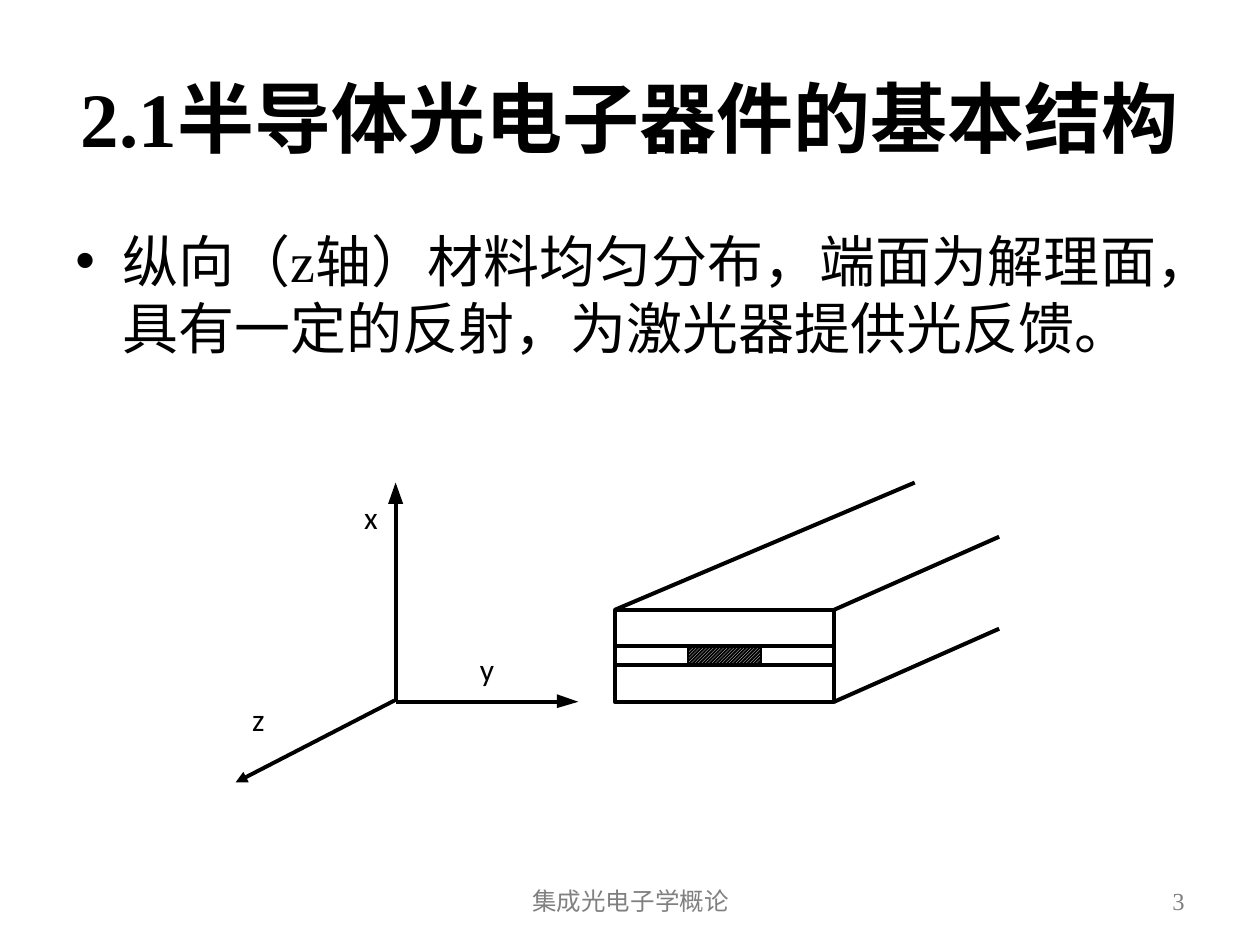
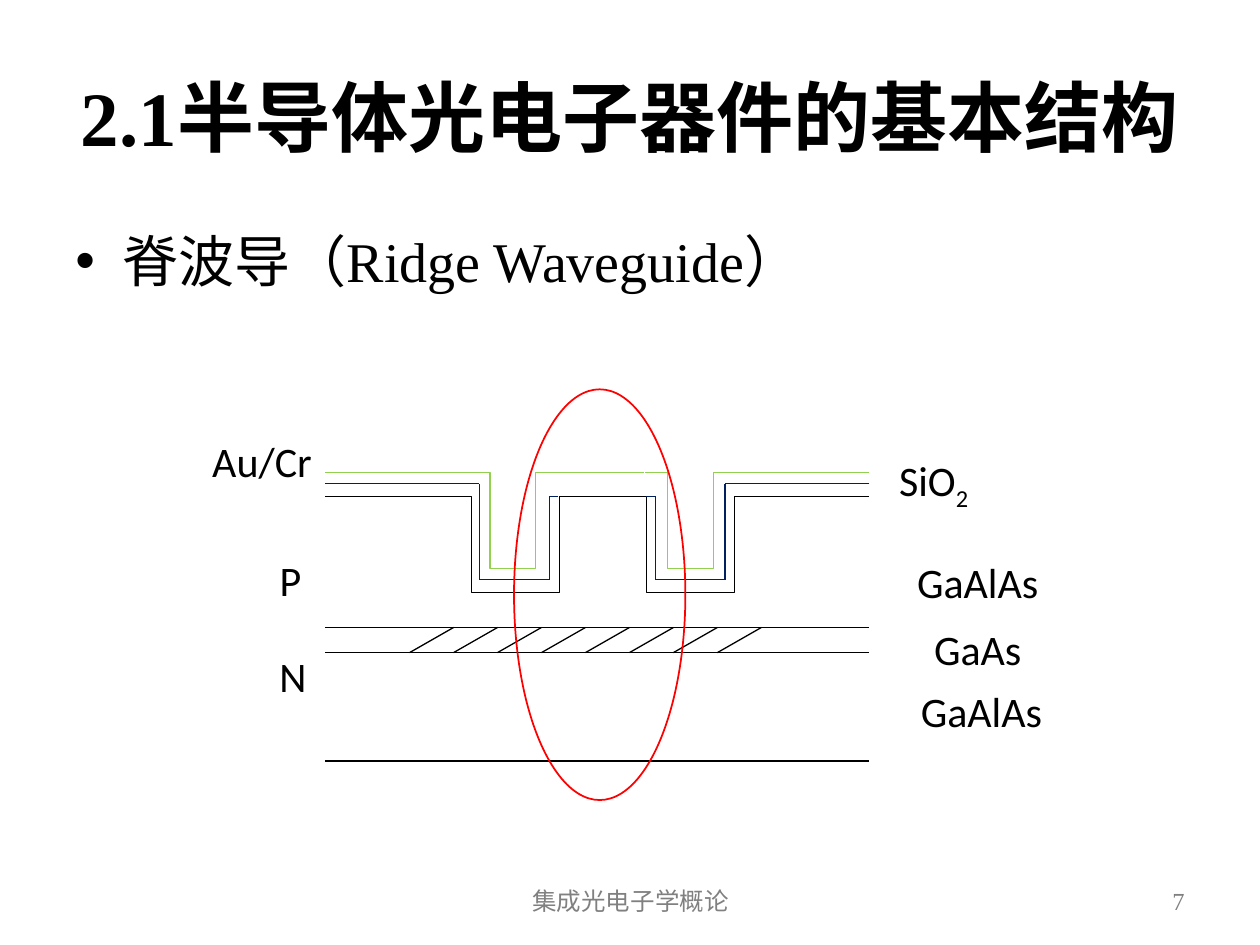
"""Build two slides on the basic structure of semiconductor optoelectronic devices."""
import lxml.etree
import pptx
import pptx.dml.color
import pptx.enum.dml
import pptx.enum.shapes
import pptx.enum.text
import pptx.oxml.ns
import pptx.util

BLACK = pptx.dml.color.RGBColor(0x00, 0x00, 0x00)
WHITE = pptx.dml.color.RGBColor(0xFF, 0xFF, 0xFF)
GRAY = pptx.dml.color.RGBColor(0x80, 0x80, 0x80)
RED = pptx.dml.color.RGBColor(0xFF, 0x00, 0x00)
NAVY = pptx.dml.color.RGBColor(0x00, 0x20, 0x60)
GREEN = pptx.dml.color.RGBColor(0x92, 0xD0, 0x50)

ALIGN = pptx.enum.text.PP_ALIGN
MIDDLE = pptx.enum.text.MSO_ANCHOR.MIDDLE
STRAIGHT = pptx.enum.shapes.MSO_CONNECTOR.STRAIGHT
ELBOW = pptx.enum.shapes.MSO_CONNECTOR.ELBOW
SHAPE = pptx.enum.shapes.MSO_SHAPE

presentation = pptx.Presentation()
presentation.slide_width = pptx.util.Inches(10)
presentation.slide_height = pptx.util.Inches(7.5)
COLUMN = presentation.slide_width // 100
ROW = presentation.slide_height // 75

NO_MARGINS = {"margin_left": 0, "margin_right": 0, "margin_top": 0, "margin_bottom": 0}
TITLE = {
    "frame": {"word_wrap": True, "vertical_anchor": MIDDLE},
    "paragraph": {"alignment": ALIGN.CENTER},
    "font": {"name": "Times New Roman", "size": pptx.util.Pt(44), "bold": True},
}
BODY = {
    "frame": {"word_wrap": True},
    "paragraph": {"alignment": ALIGN.LEFT, "space_before": pptx.util.Pt(6.4)},
    "font": {"name": "Times New Roman", "size": pptx.util.Pt(32)},
}
FOOTER = {
    "frame": {"word_wrap": True, "vertical_anchor": MIDDLE},
    "paragraph": {"alignment": ALIGN.CENTER},
    "font": {"name": "Calibri", "size": pptx.util.Pt(14)},
}
PAGE_NUMBER = {
    "frame": FOOTER["frame"],
    "paragraph": {"alignment": ALIGN.RIGHT},
    "font": {"name": "Times New Roman", "size": pptx.util.Pt(14)},
}
AXIS_LABEL = {
    "frame": {**NO_MARGINS, "word_wrap": False},
    "paragraph": {"alignment": ALIGN.JUSTIFY},
    "font": {"name": "Calibri", "size": pptx.util.Pt(18)},
}
LAYER_LABEL = {
    "frame": {**NO_MARGINS, "word_wrap": True},
    "paragraph": {"alignment": ALIGN.CENTER},
    "font": {"name": "Calibri", "size": pptx.util.Pt(24)},
}


def add_text(slide, box, text, style, color=BLACK):
    """Place a text box, given in columns and rows, and return its paragraph."""
    left, top, width, height = box
    shape = slide.shapes.add_textbox(
        round(left * COLUMN), round(top * ROW), round(width * COLUMN), round(height * ROW))
    paragraph = shape.text_frame.paragraphs[0]
    run = paragraph.add_run()
    run.text = text
    run.font.color.rgb = color
    for target, part in ((shape.text_frame, "frame"), (paragraph, "paragraph"), (run.font, "font")):
        for name, value in style[part].items():
            setattr(target, name, value)
    return paragraph


def add_line(slide, start, end, color=BLACK, width=0.75, kind=STRAIGHT):
    """Draw a connector between two grid points."""
    connector = slide.shapes.add_connector(
        kind, round(start[0] * COLUMN), round(start[1] * ROW),
        round(end[0] * COLUMN), round(end[1] * ROW))
    connector.line.color.rgb = color
    connector.line.width = pptx.util.Pt(width)
    lxml.etree.SubElement(connector._element.spPr, pptx.oxml.ns.qn("a:effectLst"))
    return connector


slides = []
for title_top, page, body in (
    (3, "3", "纵向（z轴）材料均匀分布，端面为解理面，具有一定的反射，为激光器提供光反馈。"),
    (2.9, "7", "脊波导（Ridge Waveguide）"),
):
    slide = presentation.slides.add_slide(presentation.slide_layouts[6])
    add_text(slide, (5, title_top, 90, 12.5), "2.1半导体光电子器件的基本结构", TITLE)
    paragraph = add_text(slide, (5, 17.5, 90, 49.5), body, BODY)
    properties = paragraph._p.get_or_add_pPr()
    properties.set("marL", str(round(3.75 * COLUMN)))
    properties.set("indent", str(round(-3.75 * COLUMN)))
    for tag, attribute, value in (("a:buFont", "typeface", "Arial"), ("a:buChar", "char", "•")):
        lxml.etree.SubElement(properties, pptx.oxml.ns.qn(tag)).set(attribute, value)
    add_text(slide, (34.2, 69.5, 31.7, 4), "集成光电子学概论", FOOTER, GRAY)
    add_text(slide, (71.7, 69.5, 23.3, 4), page, PAGE_NUMBER, GRAY)
    slides.append(slide)
axes_slide, ridge_slide = slides

ORIGIN = (31.4, 55.7)
add_line(axes_slide, (31.4, 39.9), ORIGIN, width=2.3)
add_line(axes_slide, ORIGIN, (44.3, 55.7), width=2.3)
z_axis = add_line(axes_slide, (31.3, 55.6), (18.7, 62.1), width=2.25)
z_outline = z_axis._element.spPr.find(pptx.oxml.ns.qn("a:ln"))
lxml.etree.SubElement(z_outline, pptx.oxml.ns.qn("a:tailEnd")).set("type", "triangle")

for corners in (
    ((30.8, 40), (31.4, 38.3), (32, 40)),
    ((44.2, 55.1), (45.9, 55.7), (44.2, 56.2)),
):
    points = [(round(x * COLUMN), round(y * ROW)) for x, y in corners]
    builder = axes_slide.shapes.build_freeform(*points[0])
    builder.add_line_segments(points[1:], close=True)
    arrowhead = builder.convert_to_shape()
    arrowhead.shadow.inherit = False
    arrowhead.fill.solid()
    arrowhead.fill.fore_color.rgb = BLACK
    arrowhead.line.fill.background()

LEFT, RIGHT, TOP, BOTTOM = 48.8, 66.2, 48.4, 55.7
CORE_LEFT, CORE_RIGHT, CORE_TOP, CORE_BOTTOM = 54.6, 60.4, 51.3, 52.8
facet, core = [
    axes_slide.shapes.add_shape(
        SHAPE.RECTANGLE, round(left * COLUMN), round(top * ROW),
        round((right - left) * COLUMN), round((bottom - top) * ROW))
    for left, top, right, bottom in (
        (LEFT, TOP, RIGHT, BOTTOM), (CORE_LEFT, CORE_TOP, CORE_RIGHT, CORE_BOTTOM))
]
for rectangle, width in ((facet, 2.3), (core, 1.6)):
    rectangle.shadow.inherit = False
    rectangle.line.color.rgb = BLACK
    rectangle.line.width = pptx.util.Pt(width)
facet.fill.solid()
facet.fill.fore_color.rgb = WHITE
core.fill.patterned()
core.fill.pattern = pptx.enum.dml.MSO_PATTERN.LIGHT_UPWARD_DIAGONAL
core.fill.fore_color.rgb = WHITE
core.fill.back_color.rgb = BLACK

for start, end in (
    ((LEFT, TOP), (72.6, 38.3)),
    ((RIGHT, TOP), (79.3, 42.6)),
    ((RIGHT, BOTTOM), (79.3, 49.9)),
    ((LEFT, CORE_TOP), (RIGHT, CORE_TOP)),
    ((LEFT, CORE_BOTTOM), (RIGHT, CORE_BOTTOM)),
):
    add_line(axes_slide, start, end, width=2.3)
for x in (CORE_LEFT, CORE_RIGHT):
    add_line(axes_slide, (x, CORE_TOP), (x, CORE_BOTTOM), width=1.6)
for name, left, top, width in (("x", 28.9, 39.5, 1.3), ("z", 20, 55.6, 1.1), ("y", 38.1, 51.6, 1.3)):
    add_text(axes_slide, (left, top, width, 3), name, AXIS_LABEL)

LAYER_LEFT, LAYER_RIGHT = 25.8, 69
ACTIVE_TOP, ACTIVE_BOTTOM = 49.8, 51.8
for y in (ACTIVE_TOP, ACTIVE_BOTTOM, 60.4):
    add_line(ridge_slide, (LAYER_LEFT, y), (LAYER_RIGHT, y))
for index in range(8):
    x = 32.5 + 3.49 * index
    add_line(ridge_slide, (x, ACTIVE_BOTTOM), (x + 3.5, ACTIVE_TOP))

for color, centers, reach, top in (
    (BLACK, (40.9, 54.8), 7, 39.4),
    (GREEN, (40.7, 54.8), 3.62, 37.5),
):
    for center in centers:
        for side in (-1, 1):
            add_line(ridge_slide, (center + side * reach, top), (center, top + 7.6), color, kind=ELBOW)
    add_line(ridge_slide, (LAYER_LEFT, top), (centers[0] - reach, top), color)
    add_line(ridge_slide, (centers[1] + reach, top), (LAYER_RIGHT, top), color)
add_line(ridge_slide, (44.3, 37.5), (51.1, 37.5), GREEN)

RIDGE_AXIS = 47.8
for side, layer_end in ((-1, LAYER_LEFT), (1, LAYER_RIGHT)):
    outer, inner, tip = [RIDGE_AXIS + side * offset for offset in (9.75, 4.2, 3.5)]
    oxide = [(layer_end, 38.4), (outer, 38.4), (outer, 46), (inner, 46), (inner, 39.4), (tip, 39.4)]
    for start, end in zip(oxide, oxide[1:]):
        add_line(ridge_slide, start, end, NAVY)

ellipse = ridge_slide.shapes.add_shape(
    SHAPE.OVAL, round(40.8 * COLUMN), round(30.9 * ROW), round(13.6 * COLUMN), round(32.6 * ROW))
ellipse.shadow.inherit = False
ellipse.fill.background()
ellipse.line.color.rgb = RED
ellipse.line.width = pptx.util.Pt(1)

for name, left, top, width in (
    ("Au/Cr", 10.8, 34.6, 20),
    ("P", 18.2, 44, 9.7),
    ("N", 18.4, 51.6, 9.7),
    ("GaAlAs", 67.6, 44.2, 20),
    ("GaAs", 67.6, 49.5, 20),
    ("GaAlAs", 67.9, 54.4, 20),
):
    add_text(ridge_slide, (left, top, width, 6), name, LAYER_LABEL)
oxide_label = add_text(ridge_slide, (64.1, 36.1, 20, 6), "SiO", LAYER_LABEL)
subscript = oxide_label.add_run()
subscript.text = "2"
subscript.font.color.rgb = BLACK
for name, value in LAYER_LABEL["font"].items():
    setattr(subscript.font, name, value)
subscript._r.get_or_add_rPr().set("baseline", "-25000")

presentation.save("out.pptx")
